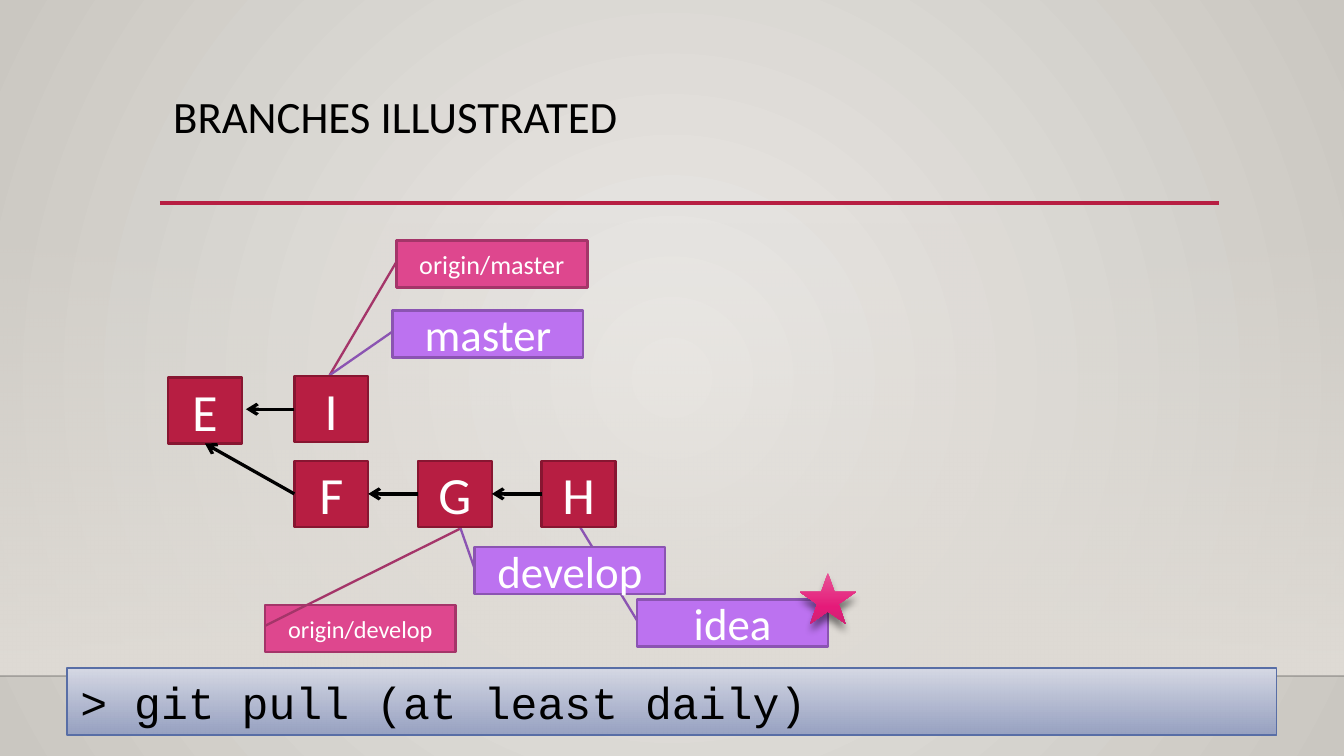
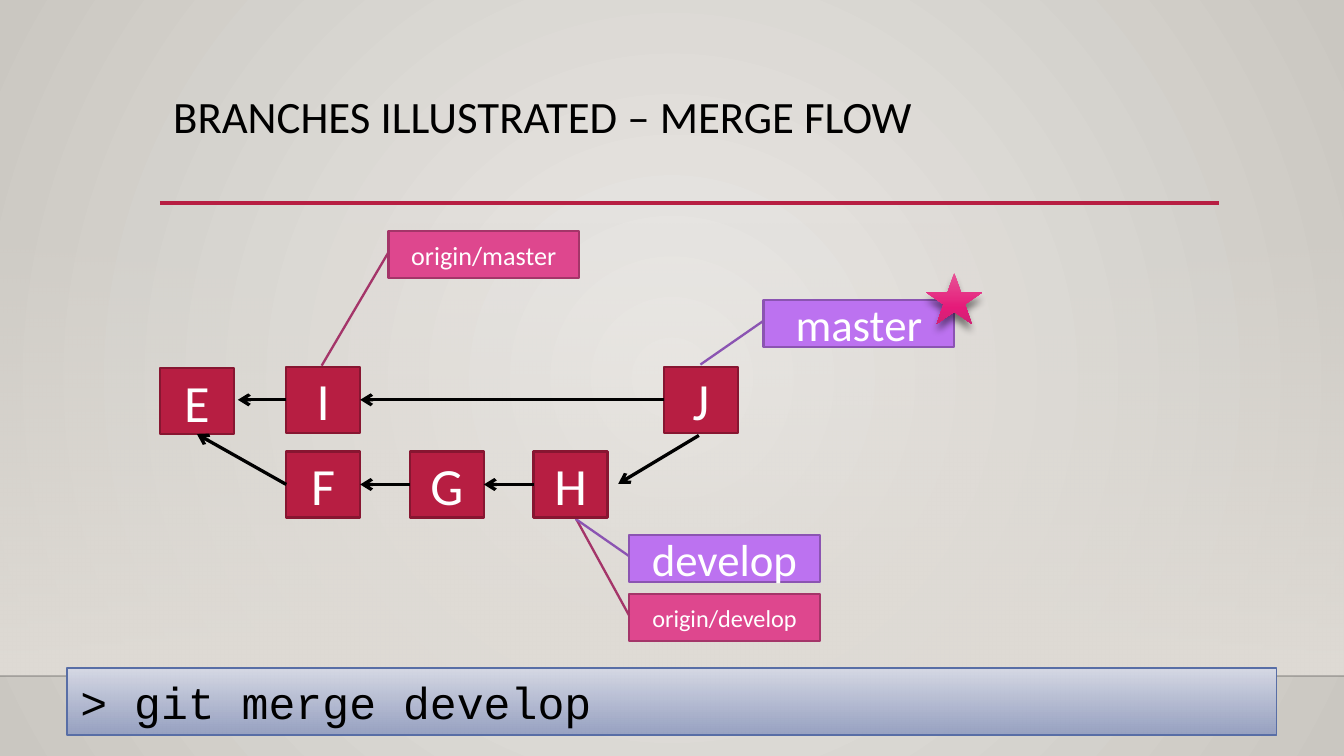
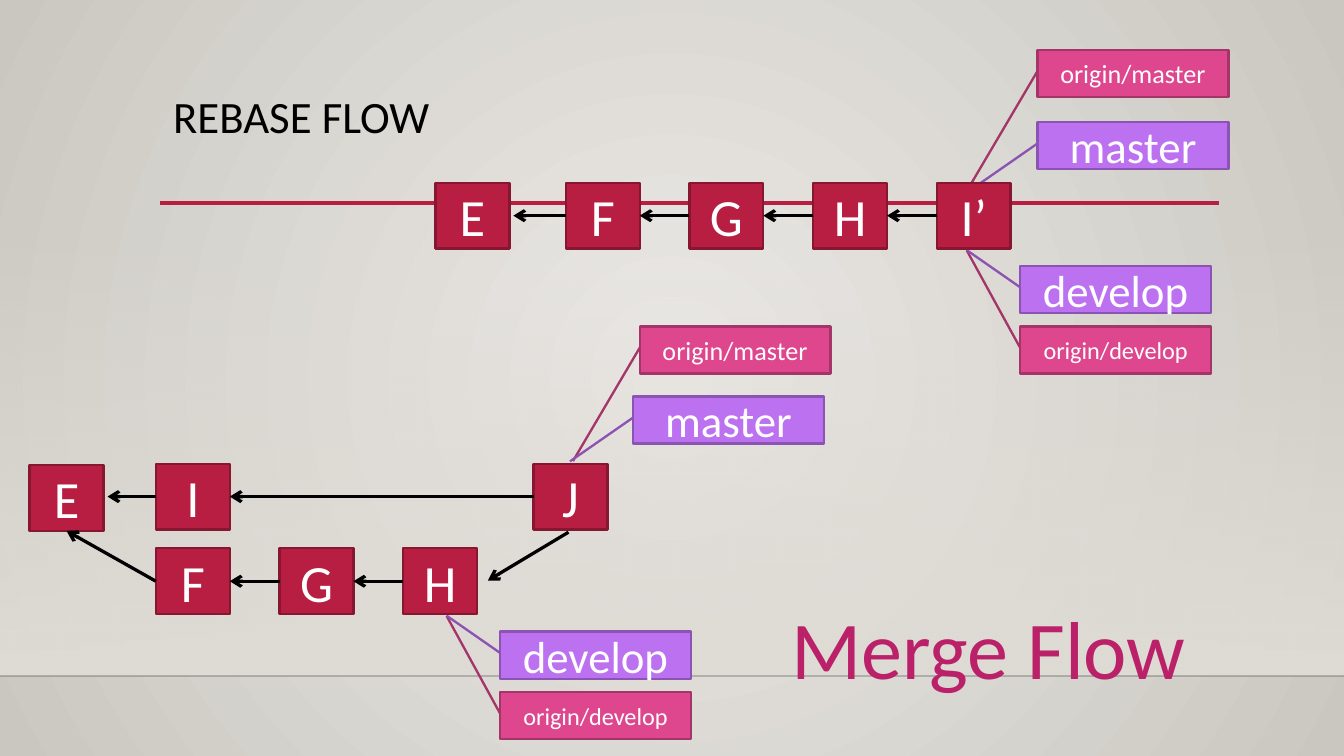
from lxml import etree
from pptx import Presentation
from pptx.dml.color import RGBColor
from pptx.enum.shapes import MSO_CONNECTOR, MSO_SHAPE
from pptx.enum.text import MSO_ANCHOR, PP_ALIGN
from pptx.oxml.ns import qn
from pptx.util import Inches, Pt

STRAIGHT = MSO_CONNECTOR.STRAIGHT
RECT, STAR, CALLOUT = MSO_SHAPE.RECTANGLE, MSO_SHAPE.STAR_5_POINT, MSO_SHAPE.LINE_CALLOUT_1
TOP, MIDDLE = MSO_ANCHOR.TOP, MSO_ANCHOR.MIDDLE
LEFT, CENTER = PP_ALIGN.LEFT, PP_ALIGN.CENTER
LEFT_SIDE, BOTTOM_SIDE, RIGHT_SIDE = 1, 2, 3

COLUMNS = 100
RED, BLACK, WHITE = "B71E42", "000000", "FFFFFF"
COMMIT_W, COMMIT_H = 5.5, 4.9
LABEL_W, LABEL_H = 14.2, 3.5
COMMIT_STEP = 9.2
TIPS = {
    "origin/master": (2.86, -0.35),
    "master": (1.38, -0.33),
    "origin/develop": (-1.62, -0.28),
    "develop": (-0.34, -0.28),
}
LABEL_SIZES = {"origin/master": 14, "origin/develop": 13}


def rgb(value):
    return RGBColor.from_string(value)


def add_color(parent, value, alpha=100):
    color = etree.SubElement(parent, qn("a:srgbClr"), val=value)
    if alpha < 100:
        etree.SubElement(color, qn("a:alpha"), val=str(alpha * 1000))


def set_gradient(properties, stops, radial=False):
    gradient = etree.Element(qn("a:gradFill"), rotWithShape="1")
    stop_list = etree.SubElement(gradient, qn("a:gsLst"))
    for position, value, alpha in stops:
        stop = etree.SubElement(stop_list, qn("a:gs"), pos=str(position * 1000))
        add_color(stop, value, alpha)
    if radial:
        circle = etree.SubElement(gradient, qn("a:path"), path="circle")
        etree.SubElement(circle, qn("a:fillToRect"), l="50000", t="50000", r="50000", b="50000")
    else:
        etree.SubElement(gradient, qn("a:lin"), ang="5400000", scaled="0")
    properties.replace(properties.find(qn("a:solidFill")), gradient)


class Deck:
    def __init__(self):
        self.presentation = Presentation()
        self.presentation.slide_width = Inches(10)
        self.presentation.slide_height = Inches(10 * 9 / 16)
        self.cell = self.presentation.slide_width / COLUMNS
        self.slide = None

    def grid(self, *lengths):
        return [round(length * self.cell) for length in lengths]

    def start(self, title):
        self.slide = self.presentation.slides.add_slide(self.presentation.slide_layouts[6])
        self.slide.background.fill.solid()
        set_gradient(self.slide.element.find(".//" + qn("p:bgPr")),
                     [(0, "ECEAE7", 100), (100, "CAC7C1", 100)], radial=True)
        wall = self.shape(RECT, 0, 16.6, COLUMNS, 33.7, "DFDBD5")
        set_gradient(wall.element.spPr, [(0, "DFDBD5", 0), (100, "DFDBD5", 100)])
        self.line((0, 50.3), (COLUMNS, 50.3), "000001", 1, alpha=20)
        self.line((11.9, 15.1), (90.7, 15.1), RED, 2.5)
        self.text_box(11.9, 6.6, 78.8, 8.6, title, 24, BLACK, TOP, spacing=0.9)

    def shape(self, kind, left, top, width, height, fill, outline=None, weight=1.25):
        shape = self.slide.shapes.add_shape(kind, *self.grid(left, top, width, height))
        shape.shadow.inherit = False
        shape.fill.solid()
        shape.fill.fore_color.rgb = rgb(fill)
        if outline:
            shape.line.color.rgb = rgb(outline)
            shape.line.width = Pt(weight)
        else:
            shape.line.fill.background()
        return shape

    def set_text(self, shape, text, size, color=WHITE, align=CENTER, anchor=MIDDLE,
                 font="Calibri", spacing=1.0):
        frame = shape.text_frame
        paragraph = frame.paragraphs[0]
        paragraph.text = text
        formats = {
            frame: {"word_wrap": True, "vertical_anchor": anchor},
            paragraph: {"alignment": align, "line_spacing": spacing},
            paragraph.font: {"size": Pt(size), "name": font},
        }
        for target, values in formats.items():
            for attribute, value in values.items():
                setattr(target, attribute, value)
        paragraph.font.color.rgb = rgb(color)

    def text_box(self, left, top, width, height, text, size, color, anchor, spacing=1.0):
        box = self.slide.shapes.add_textbox(*self.grid(left, top, width, height))
        self.set_text(box, text, size, color, LEFT, anchor, spacing=spacing)

    def line(self, start, end, color, weight, alpha=100):
        line = self.slide.shapes.add_connector(STRAIGHT, *self.grid(*start, *end))
        line.line.width = Pt(weight)
        line.line.color.rgb = rgb(color)
        if alpha < 100:
            tint = line.element.spPr.find(".//" + qn("a:srgbClr"))
            etree.SubElement(tint, qn("a:alpha"), val=str(alpha * 1000))
        etree.SubElement(line.element.spPr, qn("a:effectLst"))
        return line

    def arrow(self, start, end):
        points = [anchor if isinstance(anchor[0], (int, float)) else (0, 0) for anchor in (start, end)]
        arrow = self.line(*points, BLACK, 1.75)
        for join, anchor in ((arrow.begin_connect, start), (arrow.end_connect, end)):
            if not isinstance(anchor[0], (int, float)):
                join(*anchor)
        outline = arrow.element.spPr.find(qn("a:ln"))
        etree.SubElement(outline, qn("a:tailEnd"), type="arrow")

    def commit(self, letter, left, top):
        commit = self.shape(RECT, left, top, COMMIT_W, COMMIT_H, RED, "871631")
        self.set_text(commit, letter, 28)
        return commit

    def chain(self, commits):
        for parent, child in zip(commits, commits[1:]):
            self.arrow((child, LEFT_SIDE), (parent, RIGHT_SIDE))

    def label(self, name, left, top, tip=None):
        fill, outline = ("DE478E", "A43569") if name.startswith("origin/") else ("BC72F0", "8B54B2")
        label = self.shape(CALLOUT, left, top, LABEL_W, LABEL_H, fill, outline)
        for index, share in enumerate((0.45, 0, *(tip or TIPS[name]))):
            label.adjustments[index] = share
        self.set_text(label, name, LABEL_SIZES.get(name, 24))

    def history(self, left, top, merged):
        upper, lower = top - 0.1, top + 6.2
        second = left + 9.4
        e = self.commit("E", left, top)
        i = self.commit("I", second, upper)
        feature = [self.commit(letter, second + step * COMMIT_STEP, lower)
                   for step, letter in enumerate("FGH")]
        self.arrow((i, LEFT_SIDE), (left + COMMIT_W + 0.3, upper + COMMIT_H / 2))
        self.arrow((feature[0], LEFT_SIDE), (e, BOTTOM_SIDE))
        self.chain(feature)
        if merged:
            j = self.commit("J", left + 37.5, upper)
            self.chain([i, j])
            self.arrow((left + 40.1, top + 5), (left + 34.1, top + 8.6))

    def current_star(self, label_left, label_top):
        star = self.shape(STAR, label_left + 12.1, label_top - 2, 4.2, 3.8, "E51A79")
        properties = star.element.spPr
        set_gradient(properties, [(0, "E75597", 100), (69, "E51A79", 100), (100, "CF2374", 100)])
        shadow = etree.SubElement(properties.find(qn("a:effectLst")), qn("a:outerShdw"),
                                  blurRad=str(Pt(4)), dist=str(Pt(4)), dir="5400000", rotWithShape="0")
        add_color(shadow, BLACK, 48)

    def command(self, text):
        bar = self.shape(RECT, 5, 49.7, 90, 5, "D6D9E5", "586EA6", 0.75)
        set_gradient(bar.element.spPr, [(0, "D6D9E5", 100), (100, "929DC0", 92)])
        self.set_text(bar, text, 24, BLACK, LEFT, TOP, "Courier New")


def branches(deck):
    deck.start("BRANCHES ILLUSTRATED")
    deck.label("origin/master", 29.5, 17.9)
    deck.label("master", 29.2, 23.1)
    deck.label("origin/develop", 19.7, 45, (-1.63, 1.03))
    deck.label("idea", 47.4, 44.6, (-1.88, -0.35))
    deck.label("develop", 35.3, 40.7, (-0.48, -0.08))
    deck.history(12.5, 28.1, merged=False)
    deck.command("> git pull (at least daily)")
    deck.current_star(47.4, 44.6)


def merge_flow(deck):
    deck.start("BRANCHES ILLUSTRATED – MERGE FLOW")
    deck.label("origin/master", 28.9, 17.2)
    deck.label("master", 56.8, 22.3)
    deck.label("origin/develop", 46.8, 44.2)
    deck.label("develop", 46.8, 39.8)
    deck.history(11.9, 27.4, merged=True)
    deck.command("> git merge develop")
    deck.current_star(56.8, 22.3)


def rebase_flow(deck):
    deck.start("REBASE FLOW")
    for name, left, top in (
        ("origin/master", 77.2, 3.7), ("master", 77.2, 9.1),
        ("origin/develop", 75.9, 24.3), ("develop", 75.9, 19.8),
        ("origin/master", 47.6, 24.3), ("master", 47.1, 29.5),
        ("origin/develop", 37.2, 51.5), ("develop", 37.2, 47),
    ):
        deck.label(name, left, top)
    base_left, base_top = 32.4, 13.6
    deck.commit("E", base_left, base_top)
    rebased = [deck.commit(letter, 42.1 + step * COMMIT_STEP, base_top)
               for step, letter in enumerate(("F", "G", "H", "I’"))]
    deck.arrow((rebased[0], LEFT_SIDE), (base_left + COMMIT_W + 0.3, base_top + COMMIT_H / 2))
    deck.chain(rebased)
    deck.history(2.2, 34.6, merged=True)
    deck.text_box(57.9, 43.4, 36.4, 9.4, "Merge Flow", 44, "BA2169", MIDDLE)


def main():
    deck = Deck()
    for build in (branches, merge_flow, rebase_flow):
        build(deck)
    deck.presentation.save("out.pptx")


if __name__ == "__main__":
    main()
